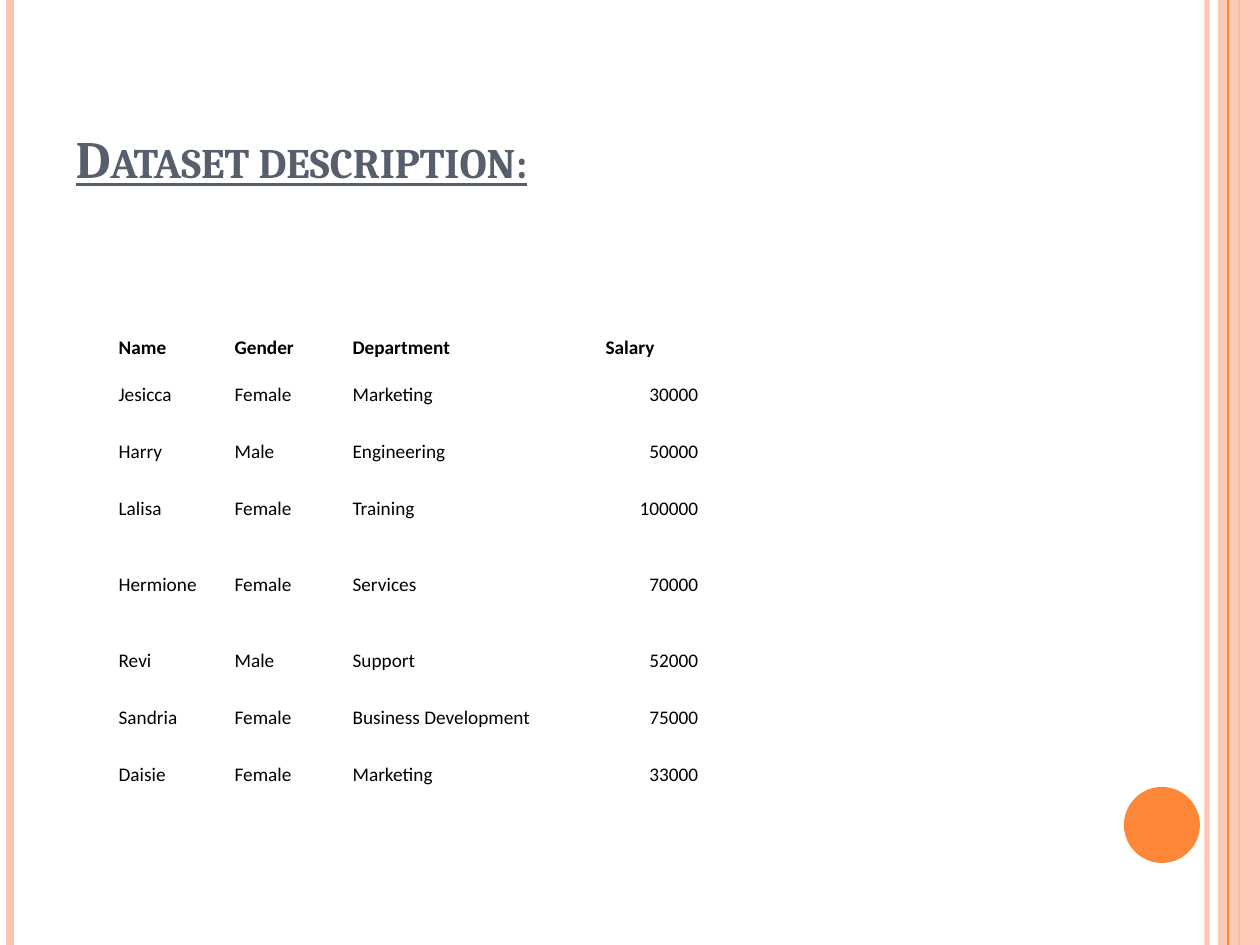
from lxml.etree import SubElement
from pptx import Presentation
from pptx.dml.color import RGBColor
from pptx.enum.shapes import MSO_CONNECTOR, MSO_SHAPE
from pptx.enum.text import MSO_ANCHOR, PP_ALIGN
from pptx.oxml.ns import qn
from pptx.util import Emu, Pt

SCALE = 914400 // 126  # EMU in one px
WIDE, HIGH = 1260, 945

PEACH = RGBColor(0xFE, 0xC3, 0xAE)
ORANGE = RGBColor(0xFE, 0x86, 0x37)
SLATE = RGBColor(0x57, 0x5F, 0x6D)
BLACK = RGBColor(0, 0, 0)

COLS = [116, 118, 253, 118, 118]
ROW, TALL = 57, 95
STAFF = [
    ("Name", "Gender", "Department", "Salary"),
    ("Jesicca", "Female", "Marketing", "30000"),
    ("Harry", "Male", "Engineering", "50000"),
    ("Lalisa", "Female", "Training", "100000"),
    ("Hermione", "Female", "Services", "70000"),
    ("Revi", "Male", "Support", "52000"),
    ("Sandria", "Female", "Business Development", "75000"),
    ("Daisie", "Female", "Marketing", "33000"),
]


def px(n):
    return Emu(n * SCALE)


def box(*sides):
    return [px(n) for n in sides]


def fade(fill, percent):
    """Set the opacity of a solid fill or line colour."""
    color = fill.find(".//" + qn("a:srgbClr"))
    SubElement(color, qn("a:alpha"), val=str(percent * 1000))


def write(frame, text, size, font, color, bold=False, under=False,
          caps=False, align=PP_ALIGN.LEFT):
    para = frame.paragraphs[0]
    para.alignment = align
    run = para.add_run()
    run.text = text
    face = run.font
    face.size, face.name = Pt(size), font
    face.bold, face.underline = bold, under
    face.color.rgb = color
    if caps:
        run.font._element.set("cap", "small")


def rule(slide, x, color, width, alpha=100):
    """Draw a vertical line over the full height."""
    line = slide.shapes.add_connector(
        MSO_CONNECTOR.STRAIGHT, *box(x, 0, x, HIGH))
    line.line.color.rgb = color
    line.line.width = Pt(width)
    props = line._element.spPr
    if alpha < 100:
        fade(props, alpha)
    SubElement(props, qn("a:effectLst"))


def solid(slide, kind, place, color, alpha=100):
    shape = slide.shapes.add_shape(kind, *box(*place))
    shape.shadow.inherit = False
    shape.fill.solid()
    shape.fill.fore_color.rgb = color
    shape.line.fill.background()
    if alpha < 100:
        fade(shape._element.spPr, alpha)


def frame_page(slide):
    rule(slide, 1207, PEACH, 3, alpha=93)
    rule(slide, 10, PEACH, 4.5)
    rule(slide, 1239, ORANGE, 1.5)
    solid(slide, MSO_SHAPE.RECTANGLE, (1218, 0, 42, HIGH), PEACH, alpha=87)
    rule(slide, 1228, ORANGE, 0.75)
    solid(slide, MSO_SHAPE.OVAL, (1124, 787, 76, 76), ORANGE)


def head(slide, text):
    title = slide.shapes.title
    title.left, title.top, title.width, title.height = box(63, 38, 1029, 157)
    title.text_frame.vertical_anchor = MSO_ANCHOR.BOTTOM
    write(title.text_frame, text, 30, "Cambria", SLATE,
          bold=True, under=True, caps=True)


def staff_table(slide, left, top):
    rows = [TALL if line[0] == "Hermione" else ROW for line in STAFF]
    table = slide.shapes.add_table(
        len(rows), len(COLS), *box(left, top, sum(COLS), sum(rows))).table
    table.first_row = table.horz_banding = False
    for col, width in zip(table.columns, COLS):
        col.width = px(width)
    for row, height in zip(table.rows, rows):
        row.height = px(height)
    for cell in table.iter_cells():
        cell.fill.background()
    for r, line in enumerate(STAFF):
        for c, text in enumerate(line):
            cell = table.cell(r, c)
            cell.vertical_anchor = MSO_ANCHOR.MIDDLE if r else MSO_ANCHOR.BOTTOM
            write(cell.text_frame, text, 11, "Calibri", BLACK, bold=r == 0,
                  align=PP_ALIGN.RIGHT if text.isdigit() else PP_ALIGN.LEFT)


def main():
    deck = Presentation()
    deck.slide_width, deck.slide_height = box(WIDE, HIGH)
    slide = deck.slides.add_slide(deck.slide_layouts[5])
    # Side bands and page circle
    frame_page(slide)
    # Title and data
    head(slide, "Dataset description:")
    staff_table(slide, 106, 309)
    deck.save("out.pptx")


if __name__ == "__main__":
    main()
